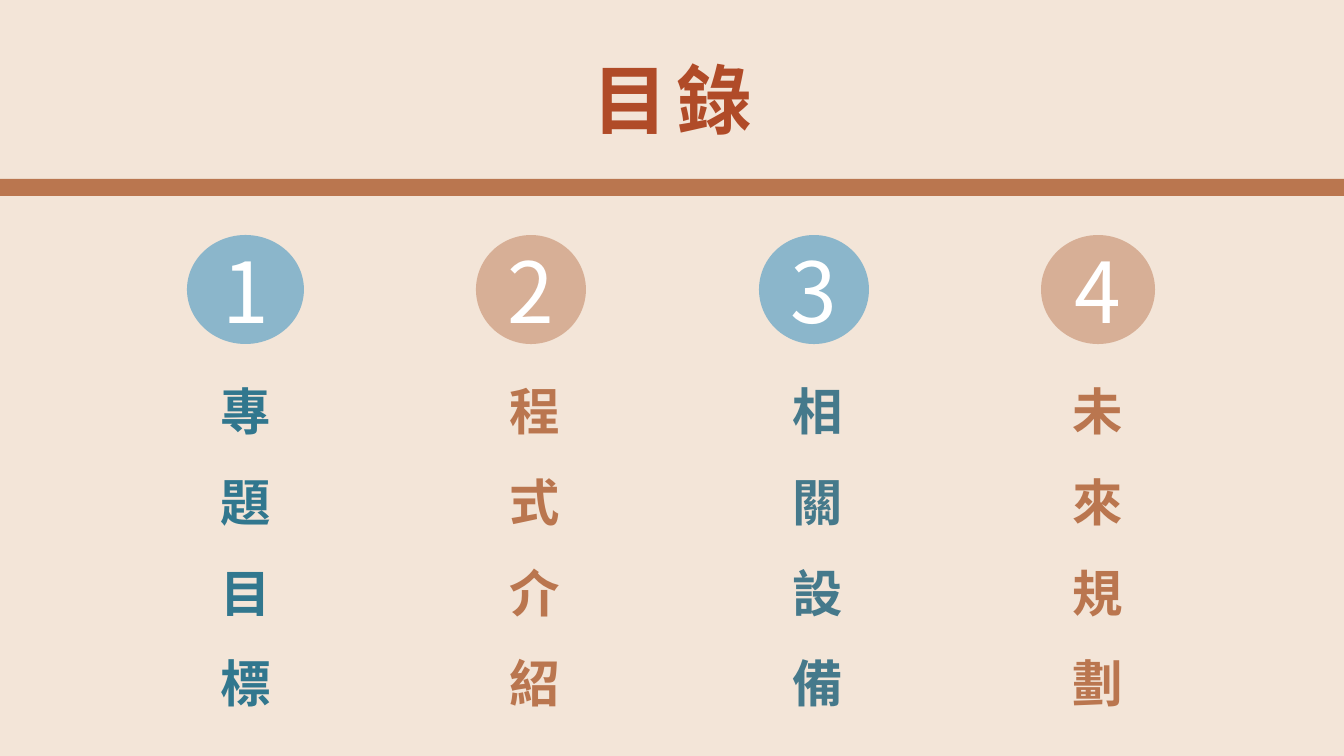
"""Build the contents slide with four numbered topics."""
from lxml import etree
from pptx import Presentation
from pptx.dml.color import RGBColor
from pptx.enum.shapes import MSO_SHAPE
from pptx.enum.text import MSO_ANCHOR, PP_ALIGN
from pptx.oxml.ns import qn
from pptx.util import Pt

PAGE_WIDTH, PAGE_HEIGHT = 1344, 756
FONT = "Noto Sans CJK SC"
CREAM, CLAY, RUST, SKY, WHITE = "F3E5D8", "BA764F", "B04B28", "8BB6CB", "FFFFFF"
TITLE = "目錄"
TITLE_BOX = (526, 48, 293, 102)
RULE_BOX = (0, 179, PAGE_WIDTH, 17)
CIRCLE_TOP, CIRCLE_HEIGHT = 235, 109
TOPIC_TOP, TOPIC_HEIGHT = 345, 377
TOPICS = [
    {"text": "專題目標", "color": "31778E", "fill": SKY, "alpha": 100,
     "circle": (187, 117), "column": (211, 102)},
    {"text": "程式介紹", "color": CLAY, "fill": CLAY, "alpha": 48,
     "circle": (476, 110), "column": (500, 72)},
    {"text": "相關設備", "color": "45798B", "fill": SKY, "alpha": 100,
     "circle": (759, 110), "column": (783, 72)},
    {"text": "未來規劃", "color": CLAY, "fill": CLAY, "alpha": 48,
     "circle": (1041, 114), "column": (1063, 72)},
]


def px(length):
    return round(length * 914400 / 100.8)


def paint(fill, color, alpha=100):
    fill.solid()
    fill.fore_color.rgb = RGBColor.from_string(color)
    if alpha < 100:
        tone = fill._xPr.find(qn("a:solidFill"))[0]
        etree.SubElement(tone, qn("a:alpha")).set("val", str(alpha * 1000))


def add_figure(page, kind, box, color, alpha=100):
    figure = page.shapes.add_shape(kind, *map(px, box))
    figure.shadow.inherit = False
    figure.line.fill.background()
    paint(figure.fill, color, alpha)
    return figure


def write(shape, lines, size, color, bold=False, align=PP_ALIGN.CENTER,
          anchor=MSO_ANCHOR.TOP, line_spacing=None, tracking=0,
          margin=5, side=10, wrap=True):
    frame = shape.text_frame
    frame.word_wrap = wrap
    frame.vertical_anchor = anchor
    frame.margin_top = frame.margin_bottom = px(margin)
    frame.margin_left = frame.margin_right = px(side)
    for index, line in enumerate(lines):
        para = frame.add_paragraph() if index else frame.paragraphs[0]
        para.alignment = align
        if line_spacing:
            para.line_spacing = line_spacing
        span = para.add_run()
        span.text = line
        span.font.size = Pt(size)
        span.font.bold = bold
        span.font.color.rgb = RGBColor.from_string(color)
        span.font.name = FONT
        properties = span.font._element
        etree.SubElement(properties, qn("a:ea")).set("typeface", FONT)
        if tracking:
            properties.set("spc", str(tracking * 100))


def main():
    deck = Presentation()
    deck.slide_width, deck.slide_height = px(PAGE_WIDTH), px(PAGE_HEIGHT)
    page = deck.slides.add_slide(deck.slide_layouts[6])
    paint(page.background.fill, CREAM)

    title = page.shapes.add_textbox(*map(px, TITLE_BOX))
    write(title, [TITLE], 54, RUST, bold=True, tracking=6)
    add_figure(page, MSO_SHAPE.RECTANGLE, RULE_BOX, CLAY)

    for number, topic in enumerate(TOPICS, 1):
        left, width = topic["circle"]
        circle = add_figure(page, MSO_SHAPE.OVAL, (left, CIRCLE_TOP, width, CIRCLE_HEIGHT),
                            topic["fill"], topic["alpha"])
        write(circle, [str(number)], 60, WHITE, anchor=MSO_ANCHOR.MIDDLE,
              margin=0, side=0, wrap=False)
        left, width = topic["column"]
        column = page.shapes.add_textbox(*map(px, (left, TOPIC_TOP, width, TOPIC_HEIGHT)))
        write(column, topic["text"], 36, topic["color"], bold=True,
              align=PP_ALIGN.LEFT, line_spacing=1.5)

    deck.save("out.pptx")


if __name__ == "__main__":
    main()
